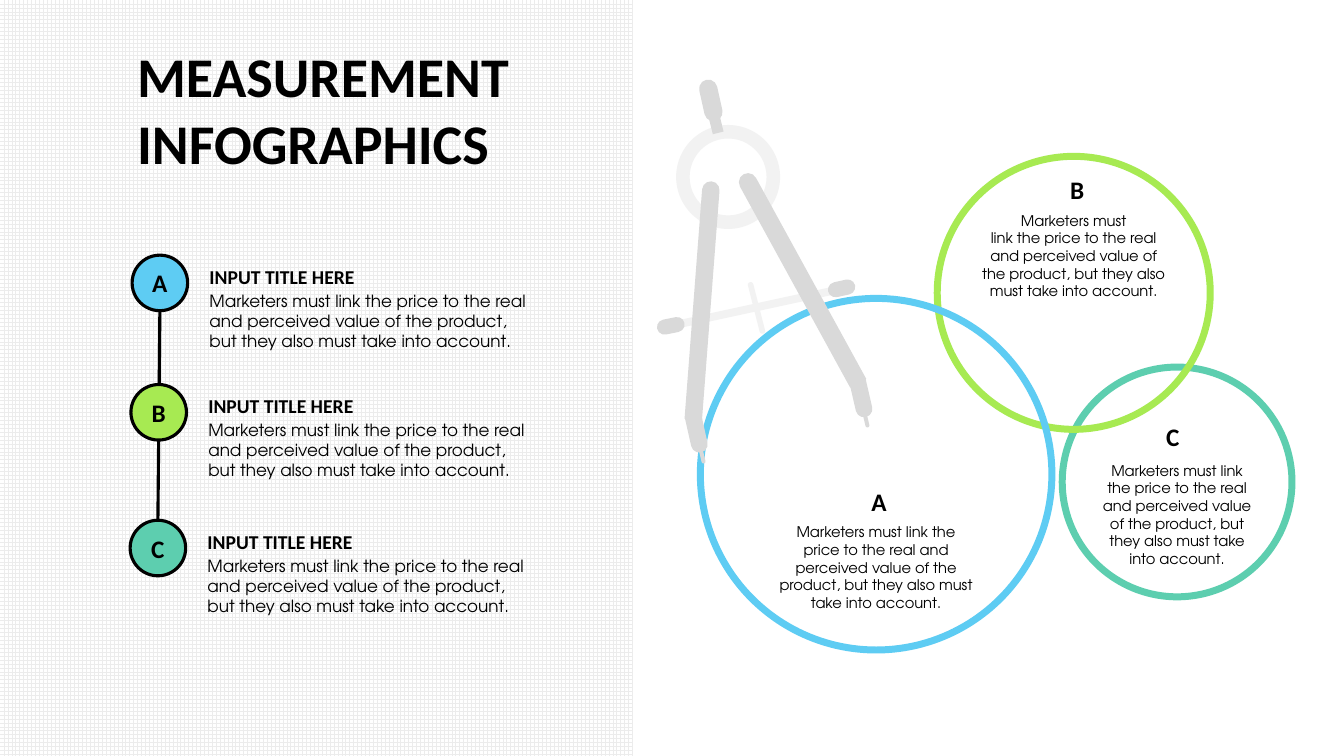
import math

import pptx
import pptx.dml.color
import pptx.enum.dml
import pptx.enum.shapes
import pptx.enum.text
import pptx.util
from lxml import etree
from pptx.util import Cm

SHAPE = pptx.enum.shapes.MSO_SHAPE
ALIGN = pptx.enum.text.PP_ALIGN
ANCHOR = pptx.enum.text.MSO_ANCHOR
COLOURS = {
    "black": "000000", "white": "FFFFFF", "grid": "ECECEC",
    "A": "5ECCF3", "B": "A7EA52", "C": "5DCEAF",
    "metal": "D9D9D9", "pale": "F2F2F2",
}
HEAD_FONT = "Calibri"
BODY_FONT = "TeX Gyre Adventor"
MESSAGE_START = "Marketers must"
MESSAGE_END = ("link the price to the real and perceived value of the product, "
               "but they also must take into account.")
MESSAGE = f"{MESSAGE_START} {MESSAGE_END}"


def colour(name):
    return pptx.dml.color.RGBColor.from_string(COLOURS[name])


def write(frame, lines, size, font=HEAD_FONT, bold=True, align=ALIGN.LEFT):
    for index, line in enumerate(lines):
        para = frame.add_paragraph() if index else frame.paragraphs[0]
        para.alignment = align
        span = para.add_run()
        span.text = line
        span.font.size = pptx.util.Pt(size)
        span.font.name = font
        span.font.bold = bold
        span.font.color.rgb = colour("black")


def add_text(page, left, top, width, height, lines, size, wrap=True, **style):
    box = page.shapes.add_textbox(Cm(left), Cm(top), Cm(width), Cm(height))
    box.text_frame.word_wrap = wrap
    write(box.text_frame, lines, size, **style)


def add_figure(page, preset, left, top, width, height, fill=None, line=None, weight=0):
    figure = page.shapes.add_shape(preset, Cm(left), Cm(top), Cm(width), Cm(height))
    figure.shadow.inherit = False
    if fill:
        figure.fill.solid()
        figure.fill.fore_color.rgb = colour(fill)
    else:
        figure.fill.background()
    if line:
        figure.line.color.rgb = colour(line)
        figure.line.width = pptx.util.Pt(weight)
    else:
        figure.line.fill.background()
    return figure


def add_panel(page, left, top, width, height):
    panel = add_figure(page, SHAPE.RECTANGLE, left, top, width, height)
    panel.fill.patterned()
    panel.fill.pattern = pptx.enum.dml.MSO_PATTERN.LARGE_GRID
    panel.fill.fore_color.rgb = colour("grid")
    panel.fill.back_color.rgb = colour("white")
    page.shapes.title.element.addprevious(panel.element)


def add_title(page, left, top, width, height):
    title = page.shapes.title
    title.left, title.top, title.width, title.height = map(Cm, (left, top, width, height))
    frame = title.text_frame
    frame.word_wrap = True
    frame.auto_size = pptx.enum.text.MSO_AUTO_SIZE.NONE
    frame.vertical_anchor = ANCHOR.TOP
    write(frame, ["MEASUREMENT INFOGRAPHICS"], 40)


def add_step(page, left, top, size, letter):
    badge = add_figure(page, SHAPE.OVAL, left, top, size, size, letter, "black", 2.25)
    badge.text_frame.vertical_anchor = ANCHOR.MIDDLE
    write(badge.text_frame, [letter], 18, align=ALIGN.CENTER)
    add_text(page, left + 1.7, top + 0.76, 8.59, 1.8, [MESSAGE], 12,
             font=BODY_FONT, bold=False)
    add_text(page, left + 1.7, top + 0.11, 4.62, 0.86, ["INPUT TITLE HERE"], 14)


def add_steps(page, left, top):
    size = 1.4
    steps = [("A", 0.05, 0), ("B", 0.02, 3.26), ("C", 0, 6.68)]
    middle = left + size / 2
    line = page.shapes.add_connector(
        pptx.enum.shapes.MSO_CONNECTOR.STRAIGHT,
        Cm(middle + steps[0][1]), Cm(top + size),
        Cm(middle), Cm(top + steps[-1][2]))
    line.line.color.rgb = colour("black")
    line.line.width = pptx.util.Pt(2.25)
    properties = line.element.spPr
    etree.SubElement(properties, pptx.oxml.ns.qn("a:effectLst"))
    for letter, shift, drop in steps:
        add_step(page, left + shift, top + drop, size, letter)


def add_circle_text(page, left, top, size, letter, letter_shift, letter_drop,
                    body_drop, body_width, lines):
    middle = left + size / 2
    add_text(page, middle - body_width / 2, top + body_drop, body_width, 2.5, lines,
             10.5, font=BODY_FONT, bold=False, align=ALIGN.CENTER)
    add_text(page, middle + letter_shift - 0.5, top + letter_drop, 1, 1.02, [letter],
             18, wrap=False, align=ALIGN.CENTER)


def add_circles(page, left, top):
    circles = [
        ((9.12, 5.31, 5.79), ("C", -0.11, 1.24, 2.26, 4.47, [MESSAGE])),
        ((5.97, 0, 6.88), ("B", 0.09, 0.33, 1.27, 5.36, [MESSAGE_START, MESSAGE_END])),
        ((0, 3.58, 8.86), ("A", 0.07, 4.62, 5.54, 5.38, [MESSAGE])),
    ]
    for (x, y, size), label in circles:
        add_figure(page, SHAPE.OVAL, left + x, top + y, size, size, None, label[0], 5)
    for (x, y, size), label in circles:
        add_circle_text(page, left + x, top + y, size, *label)


def add_bar(page, start, end, width, preset, fill):
    across, down = end[0] - start[0], end[1] - start[1]
    length = math.hypot(across, down)
    bar = add_figure(page, preset, (start[0] + end[0] - width) / 2,
                     (start[1] + end[1] - length) / 2, width, length, fill)
    bar.rotation = math.degrees(math.atan2(-across, down))
    if preset != SHAPE.RECTANGLE:
        bar.adjustments[0] = 0.5


def add_compass(page, left, top):
    hinge = add_figure(page, SHAPE.DONUT, left + 0.48, top + 1.17, 2.62, 2.62, "pale")
    hinge.adjustments[0] = 0.13
    capsule, flat, domed = (SHAPE.ROUNDED_RECTANGLE, SHAPE.RECTANGLE,
                            SHAPE.ROUND_2_SAME_RECTANGLE)
    needles = [((1.18, 9.7), (1.09, 9.32), 0.1, capsule, "metal"),
               ((5.31, 8.79), (5.22, 8.41), 0.1, capsule, "metal")]
    handle = [((1.41, 0.84), (1.54, 1.37), 0.28, flat, "metal"),
              ((1.24, 0.03), (1.47, 1.07), 0.46, capsule, "metal")]
    crossbar = [((0.62, 6.17), (4.36, 5.36), 0.2, flat, "pale"),
                ((4.31, 5.36), (4.99, 5.21), 0.38, capsule, "metal"),
                ((0, 6.3), (0.69, 6.16), 0.38, capsule, "metal"),
                ((2.34, 5.13), (2.67, 6.43), 0.14, capsule, "pale")]
    legs = [((1.37, 2.59), (0.91, 8.59), 0.44, domed, "metal"),
            ((1.11, 9.42), (0.91, 8.53), 0.42, domed, "metal"),
            ((2.18, 2.41), (5.07, 7.68), 0.46, domed, "metal"),
            ((5.26, 8.53), (5.05, 7.62), 0.42, domed, "metal")]
    for start, end, width, preset, fill in needles + handle + crossbar + legs:
        add_bar(page, (left + start[0], top + start[1]),
                (left + end[0], top + end[1]), width, preset, fill)


def main():
    deck = pptx.Presentation()
    deck.slide_width, deck.slide_height = Cm(33.87), Cm(19.05)
    page = deck.slides.add_slide(deck.slide_layouts[5])
    page.background.fill.solid()
    page.background.fill.fore_color.rgb = colour("white")
    add_panel(page, 0, 0, 15.95, 19.05)
    add_title(page, 3.2, 0.91, 11.99, 3.68)
    add_steps(page, 3.28, 6.43)
    add_circles(page, 17.65, 3.94)
    add_compass(page, 16.56, 1.98)
    deck.save("out.pptx")


if __name__ == "__main__":
    main()
